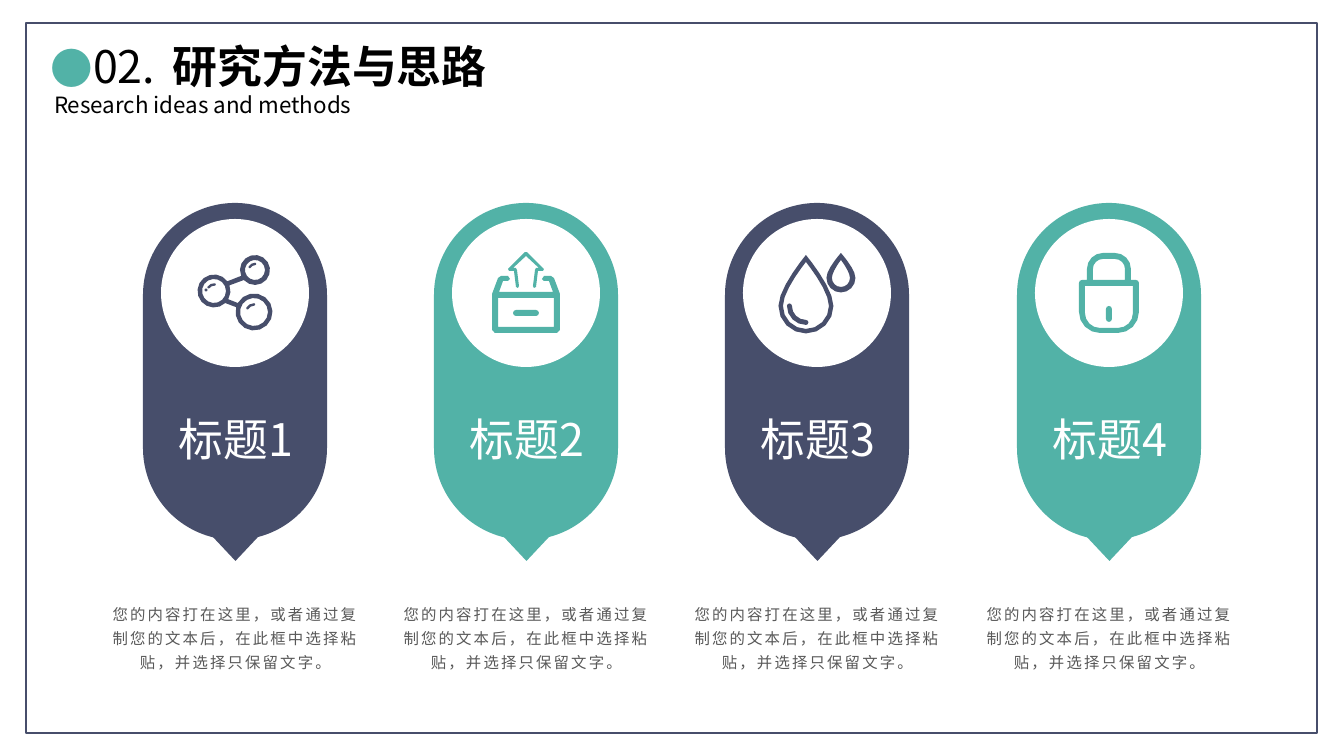
from math import cos, radians, sin

from lxml import etree
from pptx import Presentation
from pptx.dml.color import RGBColor
from pptx.enum.shapes import MSO_SHAPE
from pptx.enum.text import MSO_AUTO_SIZE, PP_ALIGN
from pptx.oxml.ns import qn
from pptx.util import Pt

PX = 6858000 / 756
FONT = "Noto Sans CJK JP"
NAVY = RGBColor(0x47, 0x4E, 0x6B)
TEAL = RGBColor(0x52, 0xB2, 0xA7)
WHITE = RGBColor(0xFF, 0xFF, 0xFF)
BLACK = RGBColor(0, 0, 0)
GREY = RGBColor(0x59, 0x59, 0x59)
RECT, ROUND = MSO_SHAPE.RECTANGLE, MSO_SHAPE.ROUNDED_RECTANGLE
OVAL, DIAMOND = MSO_SHAPE.OVAL, MSO_SHAPE.DIAMOND
CENTER, JUSTIFY = PP_ALIGN.CENTER, PP_ALIGN.JUSTIFY
FIT = MSO_AUTO_SIZE.SHAPE_TO_FIT_TEXT
CAPTION = "您的内容打在这里，或者通过复制您的文本后，在此框中选择粘贴，并选择只保留文字。"


def emu(*sizes):
    return [round(size * PX) for size in sizes]


def add_form(slide, kind, box, fill=None):
    form = slide.shapes.add_shape(kind, *emu(*box))
    form.shadow.inherit = False
    form.line.fill.background()
    if fill is None:
        form.fill.background()
    else:
        form.fill.solid()
        form.fill.fore_color.rgb = fill
    return form


def add_text(slide, box, text, size, color, align=CENTER, bold=False, inset=True):
    """Add a one-paragraph text box and return its paragraph and run."""
    frame = slide.shapes.add_textbox(*emu(*box)).text_frame
    frame.word_wrap = True
    frame.auto_size = FIT
    if not inset:
        frame.margin_left = frame.margin_right = 0
        frame.margin_top = frame.margin_bottom = 0
    para = frame.paragraphs[0]
    para.alignment = align
    run = para.add_run()
    run.text = text
    font = run.font
    font.size, font.bold, font.name = Pt(size), bold, FONT
    font.color.rgb = color
    etree.SubElement(font._element, qn("a:ea"), typeface=FONT)
    return para, run


def add_bullet(para, color, hang):
    props = para._p.get_or_add_pPr()
    props.set("marL", "0")
    props.set("indent", str(-emu(hang)[0]))
    tint = etree.SubElement(props, qn("a:buClr"))
    etree.SubElement(tint, qn("a:srgbClr"), val=str(color))
    etree.SubElement(props, qn("a:buSzPct"), val="95000")
    etree.SubElement(props, qn("a:buFont"), typeface=FONT)
    etree.SubElement(props, qn("a:buChar"), char="●")


def arc(x, y, r, start=0, end=360):
    """Points along a circle, with angles in degrees clockwise from the right."""
    if r == 0:
        return [(x, y)]
    steps = max(2, round(abs(end - start) / (24 if r > 8 else 45)))
    turns = [radians(start + (end - start) * i / steps) for i in range(steps + 1)]
    return [(x + r * cos(t), y + r * sin(t)) for t in turns]


def band(x, y, r, w, start, end):
    """Outline of a thick arc with round ends."""
    half = w / 2
    mid = arc(x, y, r, start, end)
    return (arc(x, y, r + half, start, end) + arc(*mid[-1], half, end, end + 180)
            + arc(x, y, r - half, end, start)
            + arc(*mid[0], half, start + 180, start + 360))


def block(left, top, right, bottom, up=0, down=0):
    """Rectangle with one radius for the upper and one for the lower corners."""
    return (arc(left + up, top + up, up, 180, 270)
            + arc(right - up, top + up, up, 270, 360)
            + arc(right - down, bottom - down, down, 0, 90)
            + arc(left + down, bottom - down, down, 90, 180))


def mirror(half):
    return half + [(-x, y) for x, y in reversed(half)]


def drop(x, y, r, h):
    """Water drop: a half circle below, two curves meeting at the tip."""
    side = []
    for i in range(5):
        t = i / 5
        u = 1 - t
        dx = r * (0.9 * u * u * t + 3 * u * t * t + t ** 3)
        dy = h * (u ** 3 + 2.4 * u * u * t + 0.9 * u * t * t)
        side.append((dx, dy))
    return ([(x + dx, y - dy) for dx, dy in side] + arc(x, y, r, 0, 180)
            + [(x - dx, y - dy) for dx, dy in reversed(side[1:])])


def share_icon():
    top, left, low = (20, -23), (-21, -2), (19, 19)
    edge = (arc(*top, 15, 157, 498) + arc(*left, 16.5, -20, 30)
            + arc(*low, 18.5, 209, 555) + arc(*left, 16.5, 47, 324))
    return [edge, arc(*top, 10), arc(*left, 12), arc(*low, 14),
            band(*top, 6, 2.5, 210, 270), band(*left, 6.5, 2.5, 215, 275),
            band(*low, 7.5, 2.5, 210, 270), arc(-29, -3, 1.5)]


def box_icon():
    crate = mirror([(-31, 40), (-34, 37), (-34, 1), (-28, -15), (-25, -17),
                    (-18, -17), (-16, -14), (-18, -12), (-23, -12), (-27, -1)])
    arrow = mirror([(-1, -41), (-18, -24), (-17, -22), (-12, -22), (-10, -6),
                    (-8, -5), (-7, -7), (-9, -23), (-10, -25), (-13, -25),
                    (0, -37)])
    return [crate, block(-28, 5, 28, 34), block(-13, 17, 13, 23, 3, 3), arrow]


def drop_icon():
    return [drop(-11, 13, 27.5, 51), drop(-11, 13, 23, 44),
            drop(24, -15, 14.5, 25), drop(24, -15, 9, 18),
            band(-11, 13, 16.5, 5, 90, 180)]


def lock_icon():
    return [block(-30, -13, 30, 40, 3, 21), block(-24, -7, 24, 35, 0, 15),
            block(-22, -40, 22, -13, 16), block(-16, -34, 16, -13, 10),
            block(-3, 13, 3, 29, 3, 3)]


def add_icon(slide, x, y, paths, color):
    """Draw all paths as one shape centred on x, y; inner paths are holes."""
    paths = [[emu(x + dx, y + dy) for dx, dy in path] for path in paths]
    pen = slide.shapes.build_freeform(*paths[0][0])
    for i, path in enumerate(paths):
        if i:
            pen.move_to(*path[0])
        pen.add_line_segments(path[1:], close=True)
    icon = pen.convert_to_shape()
    icon.shadow.inherit = False
    icon.fill.solid()
    icon.fill.fore_color.rgb = color
    icon.line.fill.background()


def add_badge(slide, x, label, color, paths):
    pill = add_form(slide, ROUND, (x - 92, 203, 184, 337), color)
    pill.adjustments[0] = 0.5
    add_form(slide, OVAL, (x - 74, 219, 148, 148), WHITE)
    add_form(slide, DIAMOND, (x - 23, 511, 47, 50), color)
    para, run = add_text(slide, (x - 127, 600, 255, 73), CAPTION, 11, GREY,
                         inset=False)
    para.line_spacing = 1.3
    para.space_after = Pt(7)
    run.font._element.set("spc", "150")
    add_text(slide, (x - 97, 407, 196, 64), label, 32, WHITE)
    add_icon(slide, x, 293, paths, color)


def add_head(slide):
    add_text(slide, (163, 34, 401, 64), "研究方法与思路", 32, BLACK, JUSTIFY, True)
    para, _ = add_text(slide, (33, 34, 140, 64), "02.", 32, BLACK)
    add_bullet(para, TEAL, 43)
    add_text(slide, (54, 91, 563, 27), "Research ideas and methods", 16, BLACK,
             JUSTIFY, inset=False)


def main():
    deck = Presentation()
    deck.slide_width, deck.slide_height = emu(1344, 756)
    slide = deck.slides.add_slide(deck.slide_layouts[6])
    border = add_form(slide, RECT, (26, 23, 1291, 710))
    border.line.color.rgb = NAVY
    border.line.width = Pt(1)
    add_head(slide)
    icons = [share_icon(), box_icon(), drop_icon(), lock_icon()]
    for i, paths in enumerate(icons):
        color = TEAL if i % 2 else NAVY
        add_badge(slide, 235 + 874 * i // 3, f"标题{i + 1}", color, paths)
    deck.save("out.pptx")


if __name__ == "__main__":
    main()
